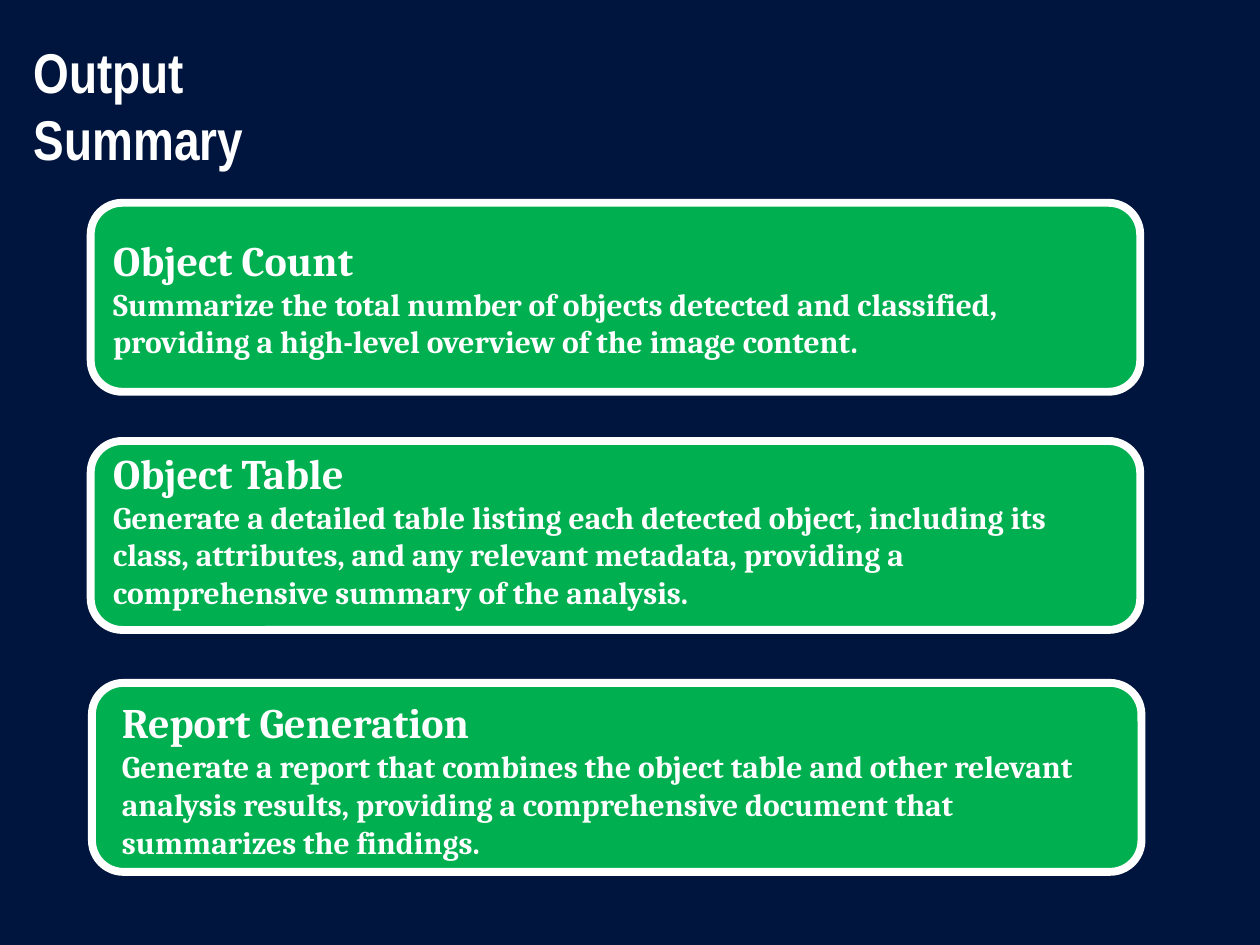
import pptx
import pptx.util
import pptx.dml.color
import pptx.enum.shapes
import pptx.enum.text
from dataclasses import dataclass

Inches = pptx.util.Inches
Pt = pptx.util.Pt
Color = pptx.dml.color.RGBColor


@dataclass(frozen=True)
class Theme:
    """Colours, fonts and type sizes of the slide."""
    navy: Color = Color(0x00, 0x15, 0x3E)
    green: Color = Color(0x00, 0xB0, 0x50)
    white: Color = Color(0xFF, 0xFF, 0xFF)
    display: str = "Arial Narrow"
    serif: str = "Cambria"
    title: int = 32
    head: int = 24
    body: int = 18
    border: float = 4.5


THEME = Theme()

CARDS = [
    ((0.72, 1.61, 8.33, 1.5), (0.08, 0.2, 8.08, 1.11), "Object Count",
     "Summarize the total number of objects detected and classified, "
     "providing a high-level overview of the image content."),
    ((0.72, 3.5, 8.33, 1.5), (0.08, 0, 7.83, 1.41), "Object Table",
     "Generate a detailed table listing each detected object, including its "
     "class, attributes, and any relevant metadata, providing a "
     "comprehensive summary of the analysis."),
    ((0.73, 5.42, 8.33, 1.5), (0.14, 0.06, 7.93, 1.41), "Report Generation",
     "Generate a report that combines the object table and other relevant "
     "analysis results, providing a comprehensive document that "
     "summarizes the findings."),
]


def add_text(slide, box, font, lines):
    """Place a text box with one bold white paragraph per (text, size) line."""
    frame = slide.shapes.add_textbox(*map(Inches, box)).text_frame
    frame.word_wrap = True
    frame.auto_size = pptx.enum.text.MSO_AUTO_SIZE.SHAPE_TO_FIT_TEXT
    for i, (text, size) in enumerate(lines):
        para = frame.add_paragraph() if i else frame.paragraphs[0]
        run = para.add_run()
        run.text = text
        run.font.name = font
        run.font.size = Pt(size)
        run.font.bold = True
        run.font.color.rgb = THEME.white


def add_title(slide, box, text):
    """Place the slide title in its box."""
    add_text(slide, box, THEME.display, [(text, THEME.title)])


def add_card(slide, box, inset, head, body):
    """Place a rounded card with its heading and body inset in the box."""
    card = slide.shapes.add_shape(
        pptx.enum.shapes.MSO_SHAPE.ROUNDED_RECTANGLE, *map(Inches, box))
    card.shadow.inherit = False
    card.fill.solid()
    card.fill.fore_color.rgb = THEME.green
    card.line.color.rgb = THEME.white
    card.line.width = Pt(THEME.border)
    left, top, width, height = inset
    add_text(slide, (box[0] + left, box[1] + top, width, height), THEME.serif,
             [(head, THEME.head), (body, THEME.body)])


def main():
    """Build the output summary slide and save it."""
    deck = pptx.Presentation()
    deck.slide_width, deck.slide_height = Inches(10), Inches(7.5)
    slide = deck.slides.add_slide(deck.slide_layouts[6])
    slide.background.fill.solid()
    slide.background.fill.fore_color.rgb = THEME.navy
    add_title(slide, (0.17, 0.25, 2.78, 0.64), "Output Summary")
    for card in CARDS:
        add_card(slide, *card)
    deck.save("out.pptx")


if __name__ == "__main__":
    main()
